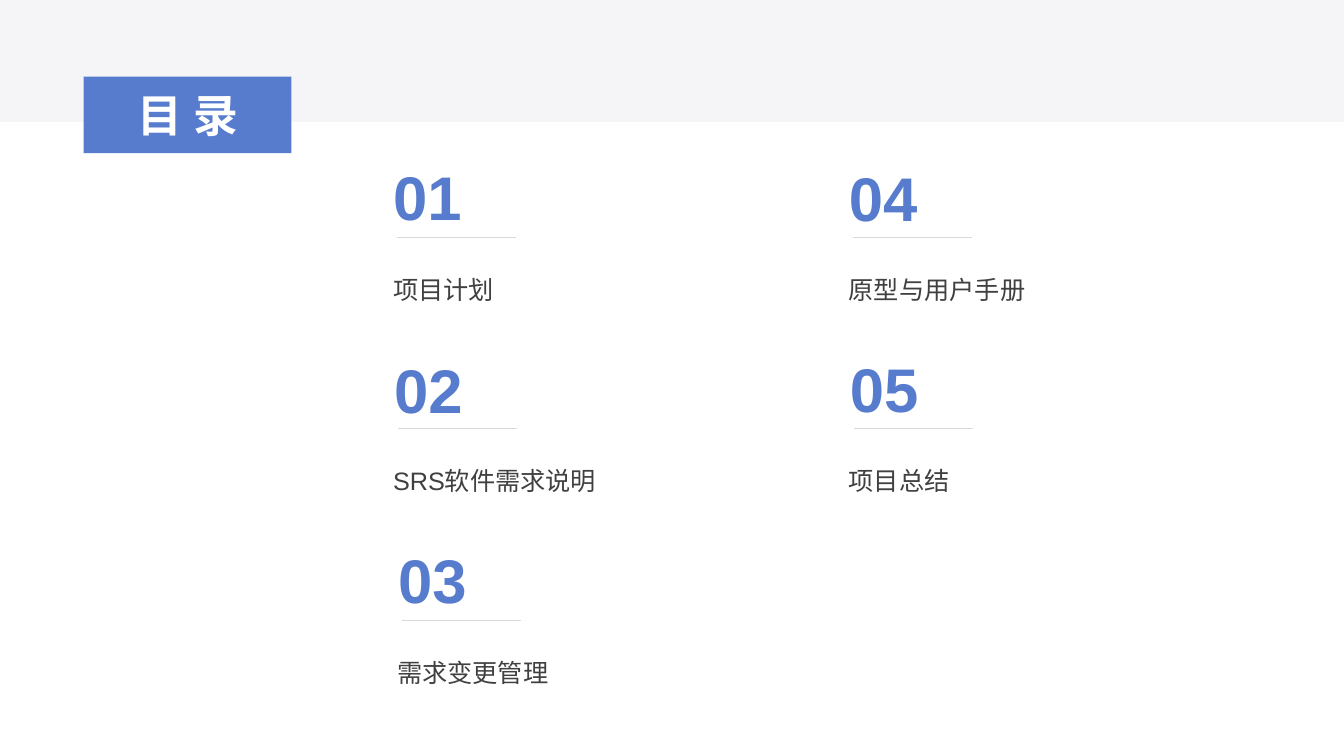
from pptx import Presentation
from pptx.dml.color import RGBColor
from pptx.enum import shapes as sh, text as tx
from pptx.oxml import parse_xml
from pptx.oxml.ns import nsdecls
from pptx.util import Inches, Pt

HEAD = "目录"
ITEMS = [
    ("01", "项目计划", 3.8, 1.53),
    ("02", "SRS软件需求说明", 3.81, 3.44),
    ("03", "需求变更管理", 3.85, 5.33),
    ("04", "原型与用户手册", 8.32, 1.54),
    ("05", "项目总结", 8.33, 3.43),
]
ROWS = 3
TOP, STEP = 2.35, 1.9
BLUE, GRAY, PALE, RULE, WHITE = "577CCE", "404040", "F5F5F8", "D9D9D9", "FFFFFF"


def color(part, code):
    part.rgb = RGBColor.from_string(code)


def paint(shape, code):
    shape.fill.solid()
    color(shape.fill.fore_color, code)


def write(para, words, size, code, bold=False):
    run = para.add_run()
    run.text = words
    font = run.font
    font.name, font.size, font.bold = "Arial", Pt(size), bold
    color(font.color, code)
    return run


def box(slide, x, y, w, h):
    frame = slide.shapes.add_textbox(*map(Inches, (x, y, w, h))).text_frame
    frame.word_wrap = True
    return frame.paragraphs[0]


def rule(slide, x, y):
    line = slide.shapes.add_connector(
        sh.MSO_CONNECTOR.STRAIGHT, Inches(x + 1.18), Inches(y), Inches(x), Inches(y))
    color(line.line.color, RULE)
    line.line.width = Pt(0.5)
    line._element.spPr.append(parse_xml(f"<a:effectLst {nsdecls('a')}/>"))


def entry(slide, num, label, x, y, row):
    base = TOP + row * STEP
    para = box(slide, x - 0.01 * (row > 0), base + 0.17, 3.54, 0.67)
    para.alignment = tx.PP_ALIGN.JUSTIFY
    para.line_spacing = 1.5
    para.space_after = Pt(20)
    write(para, label, 18, GRAY)
    write(box(slide, x, y, 0.89, 0.84), num, 44, BLUE, True)
    rule(slide, x + 0.14, base)


def title(slide):
    head = slide.shapes.title
    head.left, head.top, head.width, head.height = map(Inches, (0.83, 0.76, 2.06, 0.76))
    paint(head, BLUE)
    frame = head.text_frame
    frame.vertical_anchor = tx.MSO_ANCHOR.MIDDLE
    frame.auto_size = tx.MSO_AUTO_SIZE.NONE
    para = frame.paragraphs[0]
    para.alignment = tx.PP_ALIGN.CENTER
    run = write(para, HEAD, 32, WHITE, True)
    run.font._element.set("spc", "800")
    slide.shapes._spTree.append(head._element)


def main():
    deck = Presentation()
    deck.slide_width, deck.slide_height = Inches(13.33), Inches(7.5)
    slide = deck.slides.add_slide(deck.slide_layouts[5])
    band = slide.shapes.add_shape(
        sh.MSO_SHAPE.RECTANGLE, 0, 0, deck.slide_width, Inches(1.21))
    band.shadow.inherit = False
    band.line.fill.background()
    paint(band, PALE)
    for i, item in enumerate(ITEMS):
        entry(slide, *item, i % ROWS)
    title(slide)
    deck.save("out.pptx")


if __name__ == "__main__":
    main()
